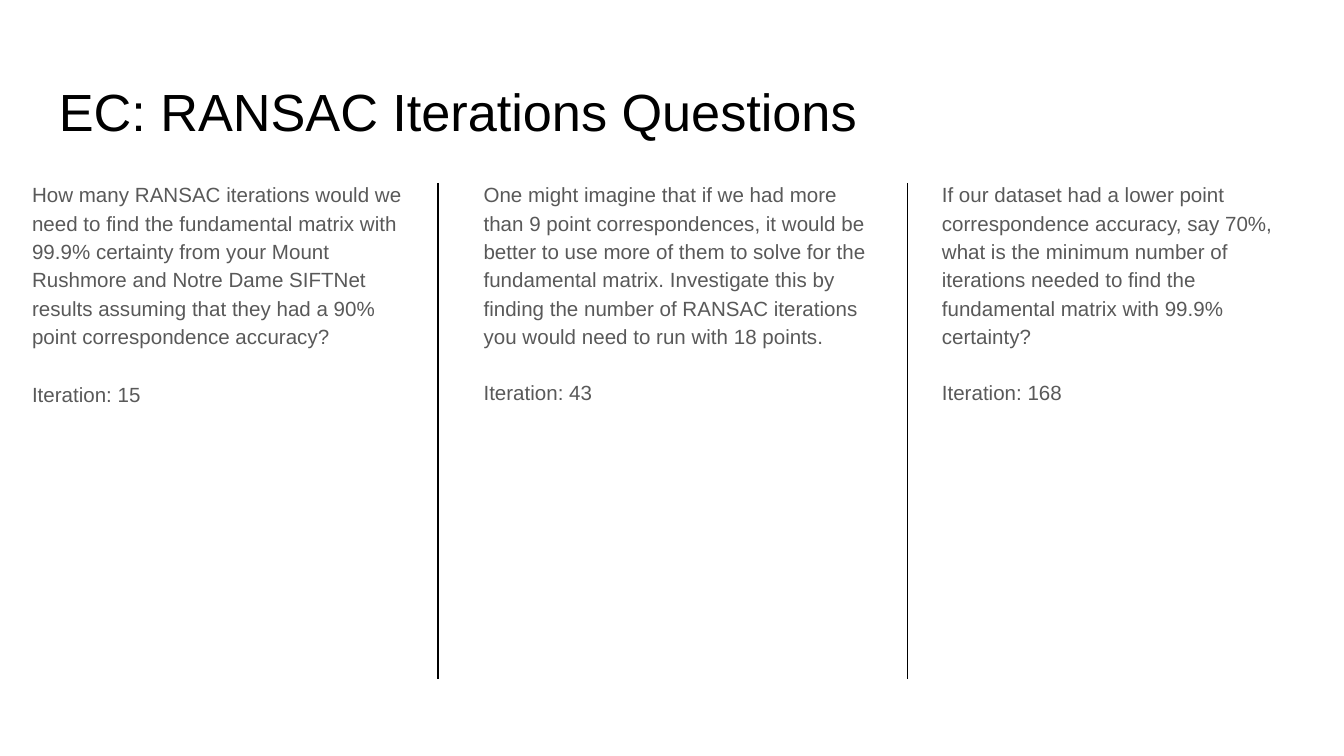
from pptx import Presentation
from pptx.dml.color import RGBColor
from pptx.enum.shapes import MSO_CONNECTOR
from pptx.oxml.ns import qn
from pptx.util import Inches, Pt
from lxml import etree

STRAIGHT = MSO_CONNECTOR.STRAIGHT
COLORS = {"title": "000000", "body": "595959", "rule": "000000"}
TOP, HEIGHT = 1.23, 3.74

# Left, width, question, answer, space before the answer
COLUMNS = [
    (0, 3.13,
     "How many RANSAC iterations would we need to find the fundamental matrix "
     "with 99.9% certainty from your Mount Rushmore and Notre Dame SIFTNet "
     "results assuming that they had a 90% point correspondence accuracy?",
     "Iteration: 15", 16),
    (3.36, 3.23,
     "One might imagine that if we had more than 9 point correspondences, it "
     "would be better to use more of them to solve for the fundamental matrix. "
     "Investigate this by finding the number of RANSAC iterations you would "
     "need to run with 18 points.",
     "Iteration: 43", 15),
    (6.77, 2.96,
     "If our dataset had a lower point correspondence accuracy, say 70%, what "
     "is the minimum number of iterations needed to find the fundamental "
     "matrix with 99.9% certainty?",
     "Iteration: 168", 15),
]


class Deck:
    font = "Arial"
    inset = 0.1
    indent = 0.14

    def __init__(self, slide):
        self.s = slide

    def text(self, x, y, w, h, paragraphs, size, color):
        sp = self.s.shapes.add_textbox(Inches(x), Inches(y), Inches(w), Inches(h))
        tf = sp.text_frame
        tf.word_wrap = True
        tf.margin_left = tf.margin_right = Inches(self.inset)
        tf.margin_top = tf.margin_bottom = Inches(self.inset)
        for i, words in enumerate(paragraphs):
            p = tf.paragraphs[0] if i == 0 else tf.add_paragraph()
            p.text = words
            p.font.name = self.font
            p.font.size = Pt(size)
            p.font.color.rgb = RGBColor.from_string(COLORS[color])
        return tf

    def column(self, x, w, question, answer, gap):
        tf = self.text(x, TOP, w, HEIGHT, [question, answer], 11, "body")
        for p in tf.paragraphs:
            p.line_spacing = 1.15
            pPr = p._p.get_or_add_pPr()
            pPr.set("marL", str(Inches(self.indent)))
            pPr.set("indent", "0")
        tf.paragraphs[1].space_before = Pt(gap)

    def divider(self, x, top, bottom):
        line = self.s.shapes.add_connector(
            STRAIGHT, Inches(x), Inches(top), Inches(x), Inches(bottom))
        line.line.color.rgb = RGBColor.from_string(COLORS["rule"])
        line.line.width = Pt(0.75)
        etree.SubElement(line._element.spPr, qn("a:effectLst"))


def main():
    # Widescreen 16:9 slide
    prs = Presentation()
    prs.slide_width = Inches(10)
    prs.slide_height = Inches(10 * 9 / 16)
    deck = Deck(prs.slides.add_slide(prs.slide_layouts[6]))

    # Title
    deck.text(0.34, 0.49, 9.32, 0.63, ["EC: RANSAC Iterations Questions"], 28, "title")

    # Question columns
    for column in COLUMNS:
        deck.column(*column)

    # Dividers between columns
    for x in (3.26, 6.75):
        deck.divider(x, 1.36, 5.05)

    prs.save("out.pptx")


if __name__ == "__main__":
    main()
